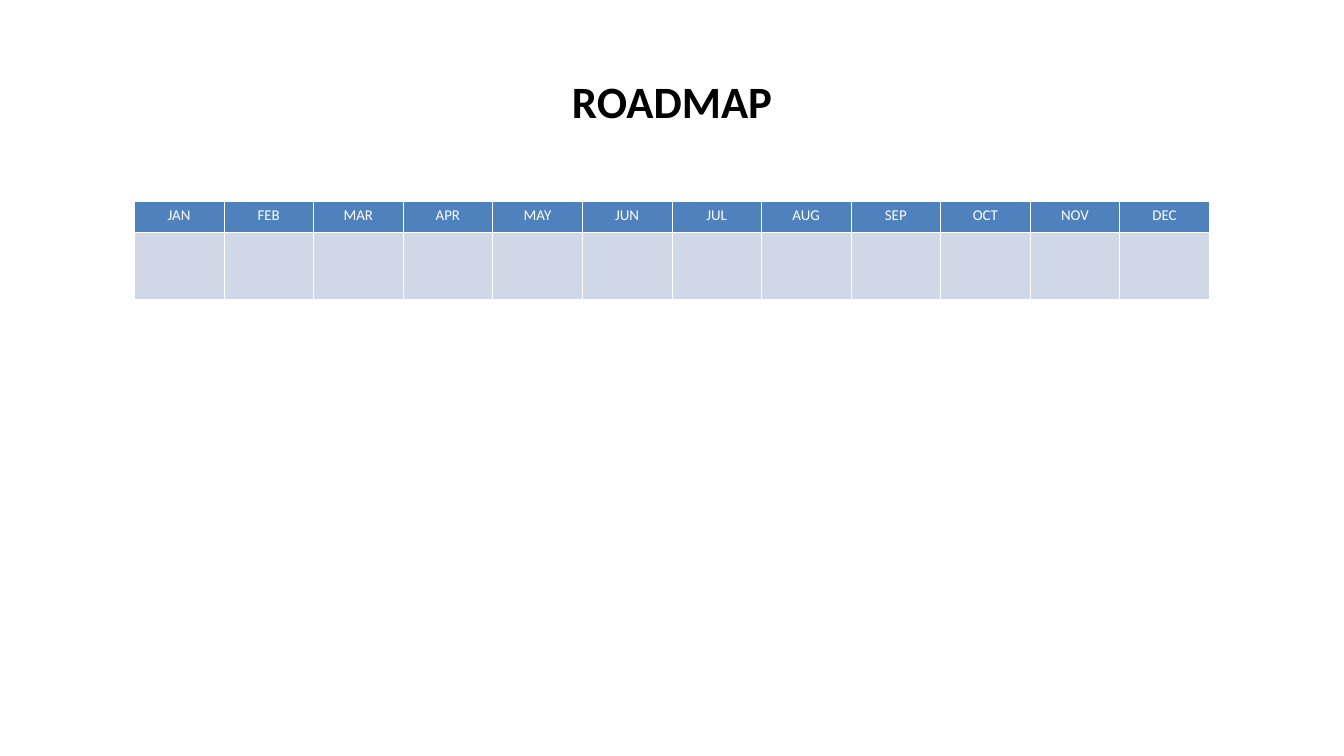
from dataclasses import dataclass

from lxml import etree
from pptx import Presentation
from pptx.dml.color import RGBColor
from pptx.enum.text import MSO_ANCHOR, MSO_AUTO_SIZE, PP_ALIGN
from pptx.oxml.ns import qn
from pptx.util import Inches, Pt

CENTER = PP_ALIGN.CENTER
MIDDLE = MSO_ANCHOR.MIDDLE
NO_AUTOFIT = MSO_AUTO_SIZE.NONE

BLACK = RGBColor(0x00, 0x00, 0x00)
WHITE = RGBColor(0xFF, 0xFF, 0xFF)
HEADER_BLUE = RGBColor(0x4F, 0x81, 0xBD)
PALE_BLUE = RGBColor(0xD0, 0xD8, 0xE7)

FONT = "Calibri"
SLIDE_W = Inches(10)
SLIDE_H = SLIDE_W * 9 // 16
BORDER = Pt(0.45)
MONTHS = "JAN FEB MAR APR MAY JUN JUL AUG SEP OCT NOV DEC".split()


@dataclass
class Band:
    labels: list[str]
    height: float
    fill: RGBColor


BANDS = [
    Band(MONTHS, 0.23, HEADER_BLUE),
    Band([""] * len(MONTHS), 0.5, PALE_BLUE),
]


def add_run(p, text: str, size: float, color: RGBColor, bold: bool = False) -> None:
    r = p.add_run()
    r.text = text
    r.font.name = FONT
    r.font.size = Pt(size)
    r.font.bold = bold
    r.font.color.rgb = color


def add_title(s, text: str) -> None:
    sp = s.shapes.title
    sp.width, sp.height = Inches(1.69), Inches(0.5)
    sp.left, sp.top = (SLIDE_W - sp.width) // 2, Inches(0.5)
    tf = sp.text_frame
    tf.word_wrap = False
    tf.auto_size = NO_AUTOFIT
    tf.vertical_anchor = MIDDLE
    p = tf.paragraphs[0]
    p.alignment = CENTER
    add_run(p, text, 24, BLACK, bold=True)


def set_borders(cell, color: RGBColor) -> None:
    tc_pr = cell._tc.get_or_add_tcPr()
    for side in ("a:lnL", "a:lnR", "a:lnT", "a:lnB"):
        ln = etree.SubElement(tc_pr, qn(side), w=str(int(BORDER)))
        fill = etree.SubElement(ln, qn("a:solidFill"))
        etree.SubElement(fill, qn("a:srgbClr"), val=str(color))


def style_cell(cell, text: str, fill: RGBColor) -> None:
    set_borders(cell, WHITE)
    cell.fill.solid()
    cell.fill.fore_color.rgb = fill
    if text:
        p = cell.text_frame.paragraphs[0]
        p.alignment = CENTER
        p.line_spacing = 0.83
        add_run(p, text, 8, WHITE)


def add_roadmap(s, bands: list[Band]) -> None:
    margin = SLIDE_W // 10
    height = Inches(sum(band.height for band in bands))
    table = s.shapes.add_table(
        len(bands), len(MONTHS), margin, Inches(1.5), SLIDE_W - 2 * margin, height
    ).table
    for row, band in zip(table.rows, bands):
        row.height = Inches(band.height)
        for cell, label in zip(row.cells, band.labels):
            style_cell(cell, label, band.fill)


def main() -> None:
    prs = Presentation()
    prs.slide_width, prs.slide_height = SLIDE_W, SLIDE_H
    s = prs.slides.add_slide(prs.slide_layouts[5])
    add_title(s, "ROADMAP")
    add_roadmap(s, BANDS)
    prs.save("out.pptx")


if __name__ == "__main__":
    main()
